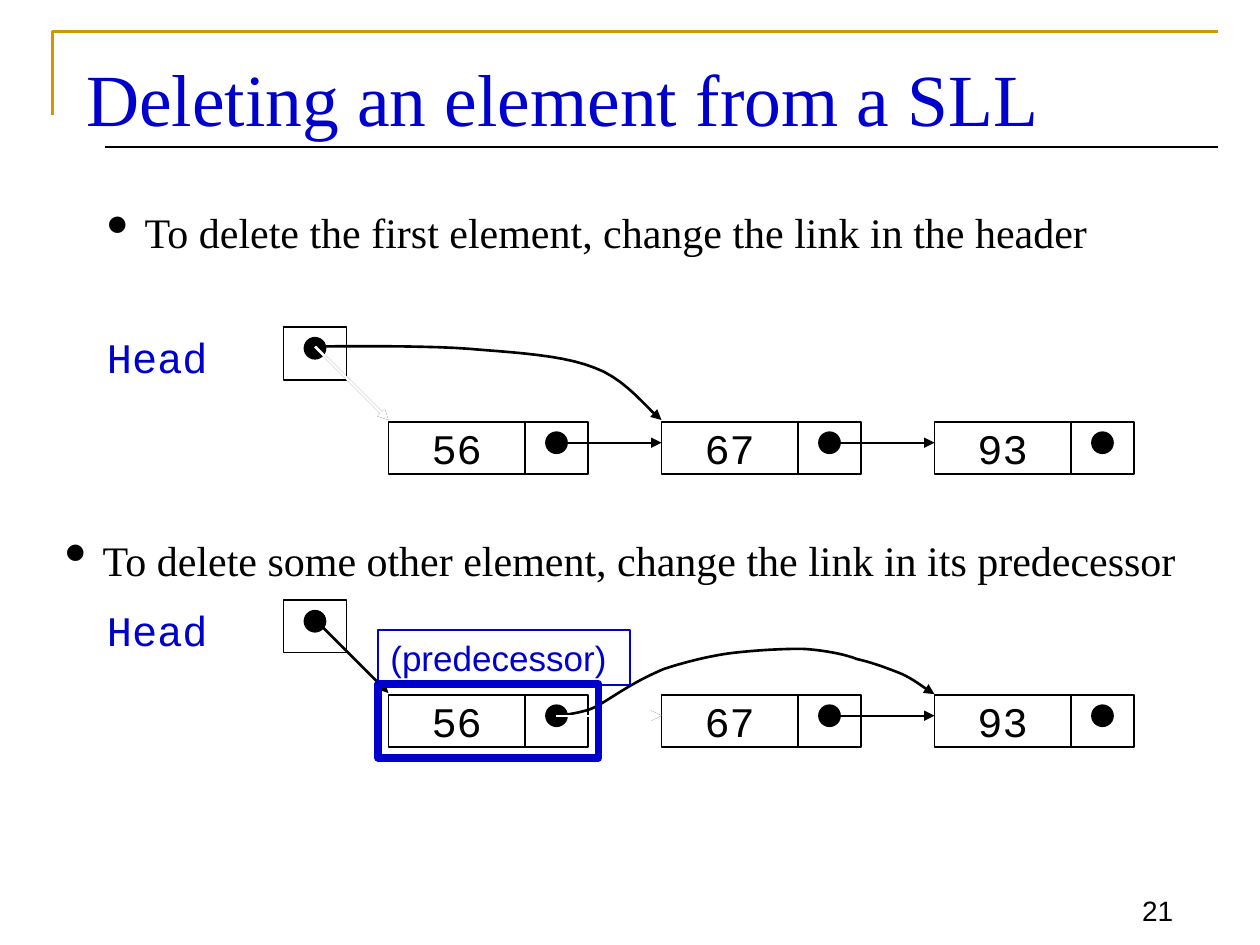
import lxml.etree
import pptx
import pptx.dml.color
import pptx.enum.shapes
import pptx.enum.text
import pptx.oxml.ns
import pptx.util

Pt = pptx.util.Pt
qn = pptx.oxml.ns.qn
RECT = pptx.enum.shapes.MSO_SHAPE.RECTANGLE
OVAL = pptx.enum.shapes.MSO_SHAPE.OVAL
STRAIGHT = pptx.enum.shapes.MSO_CONNECTOR.STRAIGHT
ALIGN = pptx.enum.text.PP_ALIGN
ANCHOR = pptx.enum.text.MSO_ANCHOR

BLACK = pptx.dml.color.RGBColor(0x00, 0x00, 0x00)
WHITE = pptx.dml.color.RGBColor(0xFF, 0xFF, 0xFF)
BLUE = pptx.dml.color.RGBColor(0x00, 0x00, 0xCC)
GOLD = pptx.dml.color.RGBColor(0xCC, 0x99, 0x00)
SERIF, SANS, MONO = "Times New Roman", "Arial", "Courier New"


def write(s, text, size, font, color=BLACK, align=ALIGN.LEFT, anchor=ANCHOR.TOP,
          wrap=True, before=0, bullet=False):
    tf = s.text_frame
    tf.word_wrap = wrap
    tf.auto_size = pptx.enum.text.MSO_AUTO_SIZE.NONE
    tf.vertical_anchor = anchor
    p = tf.paragraphs[0]
    p.alignment = align
    r = p.add_run()
    r.text = text
    r.font.size, r.font.name = Pt(size), font
    r.font.color.rgb = color
    pPr = p._p.get_or_add_pPr()
    if before:
        spacing = lxml.etree.SubElement(pPr, qn("a:spcBef"))
        lxml.etree.SubElement(spacing, qn("a:spcPct"), val=str(before * 1000))
    if bullet:
        tf.margin_bottom = Pt(6)
        pPr.set("marL", str(Pt(21.6)))
        pPr.set("indent", str(-Pt(21.6)))
        lxml.etree.SubElement(pPr, qn("a:buSzPct"), val="150000")
        lxml.etree.SubElement(pPr, qn("a:buChar"), char="•")


def outline(s, color=BLACK, width=1, arrow=False, fill=None):
    s.line.color.rgb = color
    s.line.width = Pt(width)
    if fill is not None:
        s.fill.solid()
        s.fill.fore_color.rgb = fill
    elif hasattr(s, "fill"):
        s.fill.background()
    spPr = s._element.spPr
    if arrow:
        lxml.etree.SubElement(spPr.find(qn("a:ln")), qn("a:tailEnd"), type="triangle")
    lxml.etree.SubElement(spPr, qn("a:effectLst"))


prs = pptx.Presentation()
prs.slide_width, prs.slide_height = Pt(720), Pt(540)
slide = prs.slides.add_slide(prs.slide_layouts[5])
shapes = slide.shapes

# Frame lines and slide number
corner = shapes.build_freeform(Pt(30), Pt(66), scale=1.0)
corner.add_line_segments([(Pt(30), Pt(18)), (Pt(696), Pt(18))], close=False)
outline(corner.convert_to_shape(), GOLD, 1.5)
outline(shapes.add_connector(STRAIGHT, Pt(60), Pt(84), Pt(696), Pt(84)), width=0.75)
s = shapes.add_textbox(Pt(630), Pt(498), Pt(47.5), Pt(35.5))
write(s, "21", 16, SANS, align=ALIGN.RIGHT, anchor=ANCHOR.BOTTOM)

# Title
s = shapes.title
s.left, s.top, s.width, s.height = Pt(42), Pt(24), Pt(654), Pt(60)
write(s, "Deleting an element from a SLL", 42, SERIF, BLUE, anchor=ANCHOR.BOTTOM)

# New links: a start point, then cubic segments (two controls and an end)
new_links = [
    [(180, 198),
     (194.4, 198), (241.9, 197.3), (268.6, 199.4),
     (295.2, 201.6), (321.8, 203), (339.8, 210.2),
     (357.8, 216.7), (370, 234), (378, 240)],
    [(318, 409),
     (321, 409), (330.5, 407.5), (337, 405.4),
     (342.7, 403.2), (348.5, 398.9), (355.7, 394.6),
     (362.9, 390.2), (369.4, 386.6), (379.4, 382.3),
     (390.2, 378.7), (406.8, 374.4), (419.8, 373),
     (433.4, 371.5), (446.4, 370.8), (458.6, 370.8),
     (470.2, 371.5), (482.4, 373.7), (489.6, 376.6),
     (499, 378.7), (508.3, 382.3), (515.5, 385.2),
     (523.4, 388.8), (529.9, 394.6), (534, 396.7)],
]
STEPS = 10
for link in new_links:
    points = []
    for i in range(0, len(link) - 1, 3):
        for step in range(1, STEPS + 1):
            t = step / STEPS
            weights = ((1 - t) ** 3, 3 * t * (1 - t) ** 2, 3 * t ** 2 * (1 - t), t ** 3)
            points.append(tuple(
                Pt(sum(w * point[axis] for w, point in zip(weights, link[i:i + 4])))
                for axis in (0, 1)))
    curve = shapes.build_freeform(Pt(link[0][0]), Pt(link[0][1]), scale=1.0)
    curve.add_line_segments(points, close=False)
    outline(curve.convert_to_shape(), width=1.5, arrow=True)

# Two linked lists; the bypassed link is overdrawn in white
NODE_X, NODE_GAP = 222, 156
for y, bypassed in ((241, 0), (397, 1)):
    # Head label, then the header cell
    s = shapes.add_textbox(Pt(54), Pt(y - 55), Pt(114), Pt(37))
    write(s, "Head", 24, MONO, BLUE, before=50)
    cells = [(162, y - 54)]

    # Element boxes, each with a link cell to its right
    for i, value in enumerate(("56", "67", "93")):
        x = NODE_X + i * NODE_GAP
        s = shapes.add_shape(RECT, Pt(x), Pt(y), Pt(78), Pt(30))
        outline(s)
        write(s, value, 24, MONO, align=ALIGN.CENTER, anchor=ANCHOR.MIDDLE, wrap=False)
        cells.append((x + 78, y))
    for x, top in cells:
        outline(shapes.add_shape(RECT, Pt(x), Pt(top), Pt(36), Pt(30)))
        outline(shapes.add_shape(OVAL, Pt(x + 12), Pt(top + 6), Pt(12), Pt(12)), fill=BLACK)

    # Links: header to first element, then element to element
    links = [(180, y - 43, NODE_X, y - 1, 1.5)]
    for i in range(2):
        x = NODE_X + i * NODE_GAP
        links.append((x + 96, y + 12, x + NODE_GAP, y + 12, 1))
    for i, (x1, y1, x2, y2, width) in enumerate(links):
        for color in (BLACK, WHITE) if i == bypassed else (BLACK,):
            s = shapes.add_connector(STRAIGHT, Pt(x1), Pt(y1), Pt(x2), Pt(y2))
            outline(s, color, width, arrow=True)

# Bullets
for x, y, width, text in (
        (54, 102, 600, "To delete the first element, change the link in the header"),
        (30, 289.5, 672, "To delete some other element, change the link in its predecessor")):
    s = shapes.add_textbox(Pt(x), Pt(y), Pt(width), Pt(51))
    write(s, text, 24, SERIF, anchor=ANCHOR.BOTTOM, before=50, bullet=True)

# Predecessor frame and label
outline(shapes.add_shape(RECT, Pt(216), Pt(391), Pt(126), Pt(42)), BLUE, 4.5)
s = shapes.add_shape(RECT, Pt(216), Pt(360), Pt(144), Pt(31.5))
outline(s, BLUE, 0.75)
write(s, "(predecessor)", 20, SANS, BLUE, before=50)

prs.save("out.pptx")
